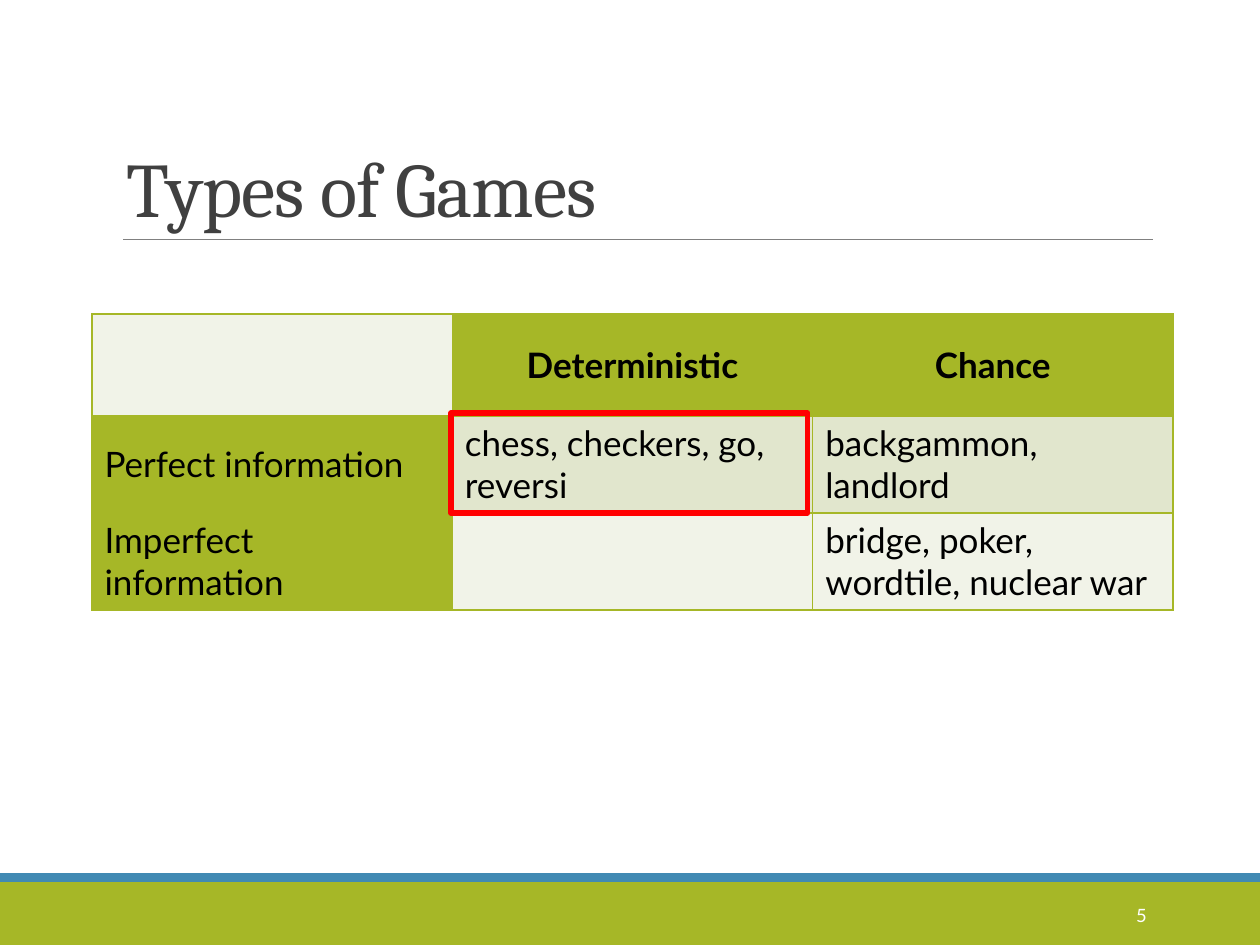
"""Build the slide that sorts games by information and chance."""
from dataclasses import dataclass

from lxml.etree import SubElement
from pptx import Presentation
from pptx.dml.color import RGBColor
from pptx.enum.shapes import MSO_CONNECTOR, MSO_SHAPE
from pptx.enum.text import MSO_ANCHOR, MSO_AUTO_SIZE, PP_ALIGN
from pptx.oxml.ns import qn
from pptx.slide import Slide
from pptx.table import _Cell
from pptx.util import Inches, Pt

GREEN, BLUE, RED = "A6B727", "418AB3", "FF0000"
LIGHT, MEDIUM = "F1F3E8", "E1E6CD"
BLACK, WHITE, DARK, GREY = "000000", "FFFFFF", "404040", "808080"
COLUMN_WIDTH = 2.86
ROW_HEIGHTS = (0.81, 0.77, 0.77)


@dataclass(frozen=True)
class Box:
    """A rectangle in inches."""
    left: float
    top: float
    width: float
    height: float

    def lengths(self) -> tuple:
        """Return the four values as lengths."""
        return tuple(map(Inches, (self.left, self.top, self.width, self.height)))


@dataclass(frozen=True)
class GameCell:
    """Content and look of one table cell."""
    text: str
    fill: str
    anchor: MSO_ANCHOR = MSO_ANCHOR.TOP
    alignment: PP_ALIGN = PP_ALIGN.LEFT
    bold: bool = False


def header(text: str) -> GameCell:
    """Describe a column heading."""
    return GameCell(text, GREEN, MSO_ANCHOR.MIDDLE, PP_ALIGN.CENTER, True)


def row_label(text: str) -> GameCell:
    """Describe a row heading."""
    return GameCell(text, GREEN, MSO_ANCHOR.MIDDLE)


GAMES = (
    (GameCell("", LIGHT), header("Deterministic"), header("Chance")),
    (row_label("Perfect information"),
     GameCell("chess, checkers, go, reversi", MEDIUM),
     GameCell("backgammon, landlord", MEDIUM)),
    (row_label("Imperfect information"),
     GameCell("", LIGHT),
     GameCell("bridge, poker, wordtile, nuclear war", LIGHT)),
)


def color(value: str) -> RGBColor:
    """Turn a hex string into a colour."""
    return RGBColor.from_string(value)


def format_text(text_frame, font_name: str, size: float, font_color: str,
                alignment: PP_ALIGN, bold: bool = False) -> None:
    """Format every paragraph and run of a text frame."""
    for paragraph in text_frame.paragraphs:
        paragraph.alignment = alignment
        for run in paragraph.runs:
            run.font.name = font_name
            run.font.size = Pt(size)
            run.font.bold = bold
            run.font.color.rgb = color(font_color)


def add_band(slide: Slide, box: Box, fill: str) -> None:
    """Add a filled rectangle without an outline."""
    shape = slide.shapes.add_shape(MSO_SHAPE.RECTANGLE, *box.lengths())
    shape.shadow.inherit = False
    shape.fill.solid()
    shape.fill.fore_color.rgb = color(fill)
    shape.line.fill.background()


def add_highlight(slide: Slide, box: Box) -> None:
    """Add a red frame around a table cell."""
    shape = slide.shapes.add_shape(MSO_SHAPE.RECTANGLE, *box.lengths())
    shape.shadow.inherit = False
    shape.fill.background()
    shape.line.color.rgb = color(RED)
    shape.line.width = Pt(3.25)


def add_title_rule(slide: Slide) -> None:
    """Add the thin line below the title."""
    rule = slide.shapes.add_connector(
        MSO_CONNECTOR.STRAIGHT, Inches(0.98), Inches(1.9), Inches(9.15), Inches(1.9))
    rule.line.color.rgb = color(GREY)
    rule.line.width = Pt(0.5)
    SubElement(rule._element.spPr, qn("a:effectLst"))


def set_title(slide: Slide, text: str) -> None:
    """Place and format the title placeholder."""
    title = slide.shapes.title
    title.left, title.top, title.width, title.height = Box(0.9, 0.31, 8.25, 1.59).lengths()
    text_frame = title.text_frame
    text_frame.text = text
    text_frame.auto_size = MSO_AUTO_SIZE.NONE
    text_frame.vertical_anchor = MSO_ANCHOR.BOTTOM
    format_text(text_frame, "Cambria", 44, DARK, PP_ALIGN.LEFT)
    paragraph = text_frame.paragraphs[0]
    paragraph.line_spacing = 0.85
    paragraph.runs[0].font._element.set("spc", "-50")


def add_slide_number(slide: Slide, text: str) -> None:
    """Add the number in the footer band."""
    text_frame = slide.shapes.add_textbox(*Box(8.12, 7.06, 1.08, 0.4).lengths()).text_frame
    text_frame.word_wrap = True
    text_frame.vertical_anchor = MSO_ANCHOR.MIDDLE
    text_frame.text = text
    format_text(text_frame, "Lato", 10.5, WHITE, PP_ALIGN.RIGHT)


def add_borders(cell: _Cell) -> None:
    """Draw a green border on all four sides of a cell."""
    properties = cell._tc.get_or_add_tcPr()
    for side in ("a:lnL", "a:lnR", "a:lnT", "a:lnB"):
        border = SubElement(properties, qn(side), w=str(Pt(1)))
        fill = SubElement(border, qn("a:solidFill"))
        SubElement(fill, qn("a:srgbClr"), val=GREEN)


def fill_cell(cell: _Cell, content: GameCell) -> None:
    """Write and format one table cell."""
    add_borders(cell)
    cell.fill.solid()
    cell.fill.fore_color.rgb = color(content.fill)
    cell.vertical_anchor = content.anchor
    cell.text_frame.text = content.text
    format_text(cell.text_frame, "Lato", 20, BLACK, content.alignment, content.bold)


def add_game_table(slide: Slide) -> None:
    """Add the table of game types."""
    column_count = len(GAMES[0])
    box = Box(0.73, 2.49, COLUMN_WIDTH * column_count, sum(ROW_HEIGHTS))
    table = slide.shapes.add_table(len(GAMES), column_count, *box.lengths()).table
    for column in table.columns:
        column.width = Inches(COLUMN_WIDTH)
    for row, height, contents in zip(table.rows, ROW_HEIGHTS, GAMES):
        row.height = Inches(height)
        for cell, content in zip(row.cells, contents):
            fill_cell(cell, content)


def main() -> None:
    """Build and save the presentation."""
    presentation = Presentation()
    presentation.slide_width, presentation.slide_height = Inches(10), Inches(7.5)
    slide = presentation.slides.add_slide(presentation.slide_layouts[5])
    add_band(slide, Box(0, 7, 10, 0.5), GREEN)
    add_band(slide, Box(0, 6.93, 10, 0.07), BLUE)
    add_title_rule(slide)
    set_title(slide, "Types of Games")
    add_slide_number(slide, "5")
    add_game_table(slide)
    add_highlight(slide, Box(3.58, 3.28, 2.83, 0.79))
    presentation.save("out.pptx")


if __name__ == "__main__":
    main()
